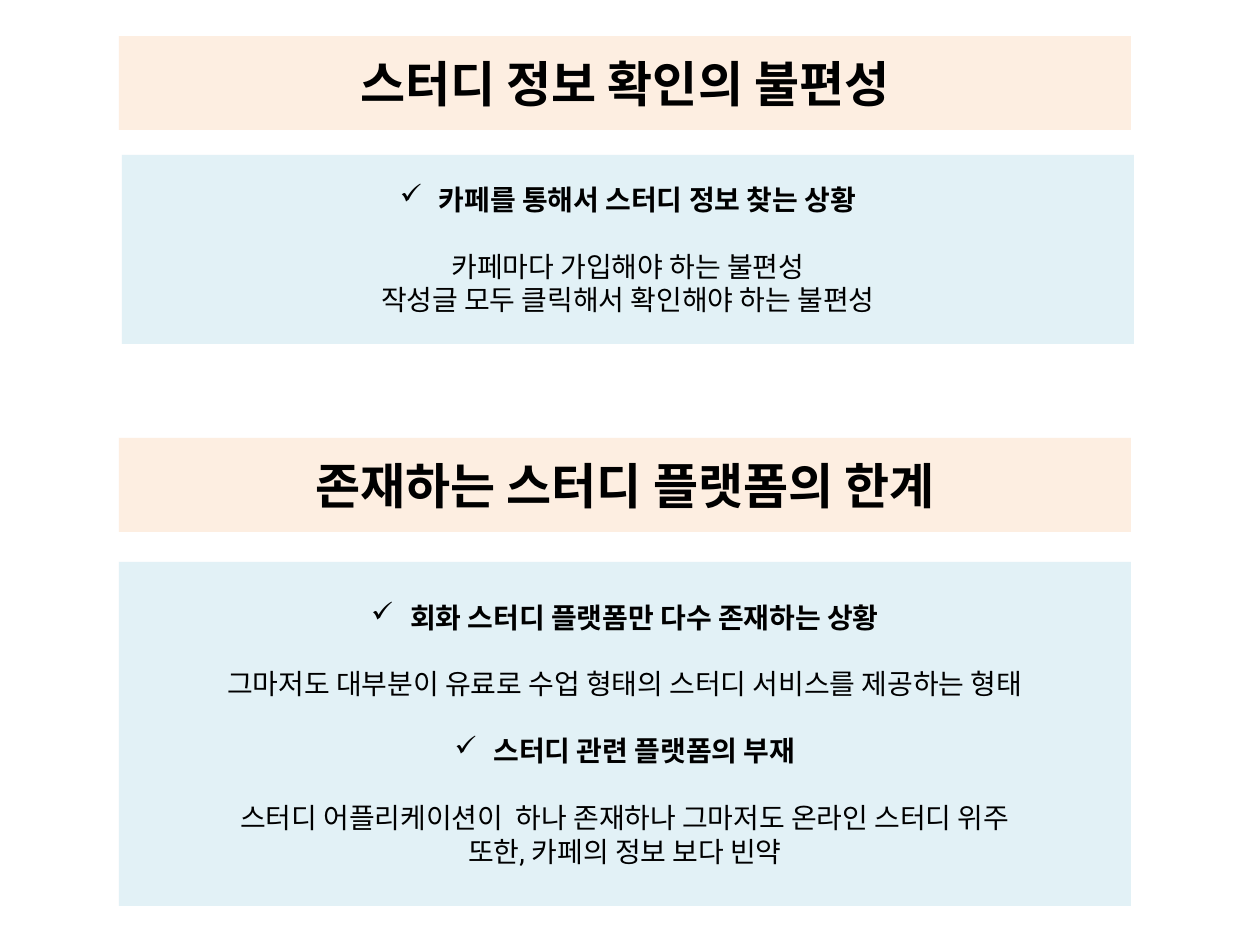
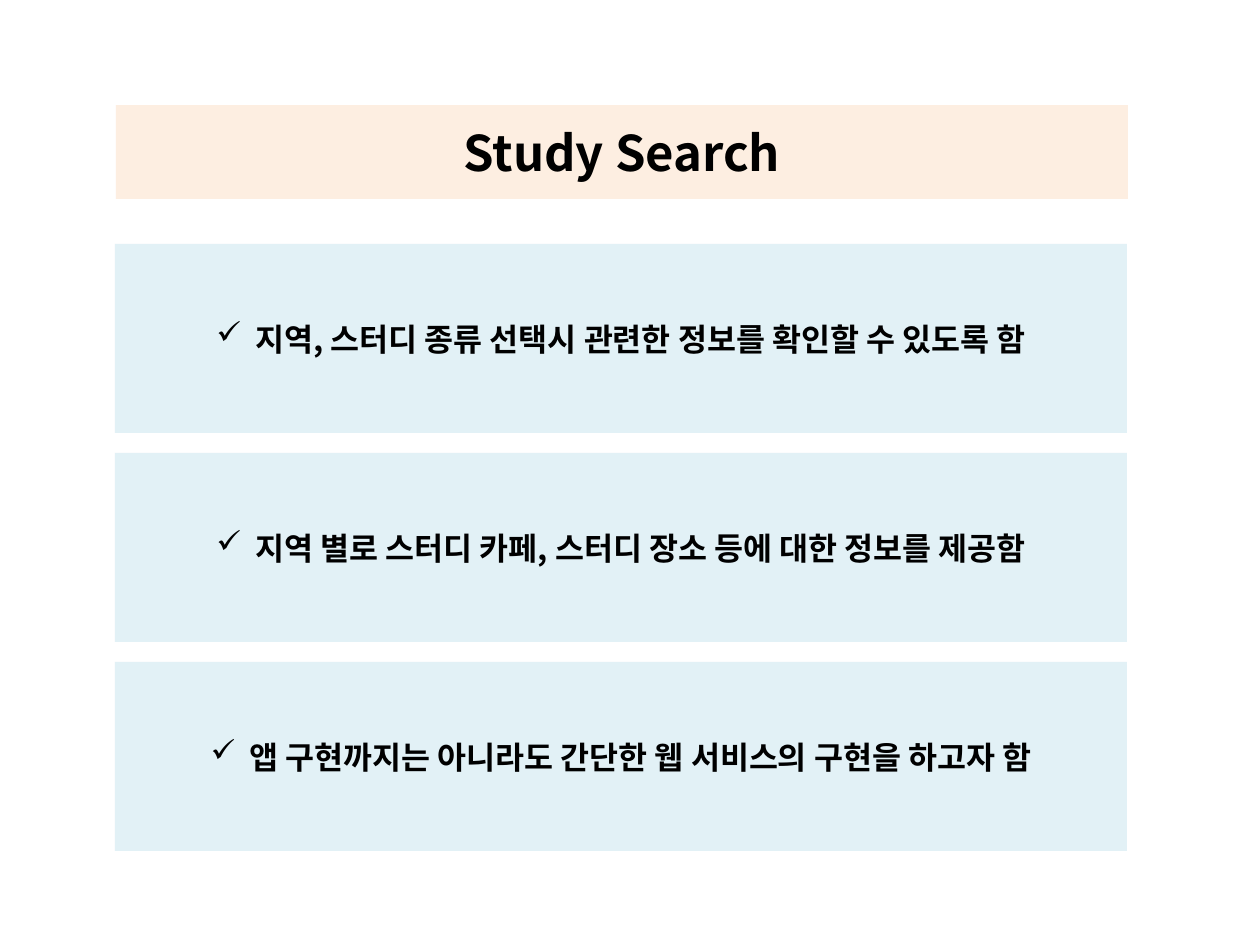
from lxml import etree
from pptx import Presentation
from pptx.dml.color import RGBColor
from pptx.enum.shapes import MSO_SHAPE
from pptx.enum.text import MSO_ANCHOR, PP_ALIGN
from pptx.oxml.ns import qn
from pptx.util import Pt

RECT = MSO_SHAPE.RECTANGLE
MIDDLE = MSO_ANCHOR.MIDDLE
CENTER = PP_ALIGN.CENTER

PEACH = RGBColor(0xFD, 0xEA, 0xDA)
BLUE = RGBColor(0xDB, 0xEE, 0xF4)
BLACK = RGBColor(0, 0, 0)
SANS = "Noto Sans CJK KR"
LATIN = "Roboto"

PX = 914400 // 126
WIDE = 1012
HEAD = 94
CARD = 189
GAP = 20
INDENT = 39
BREAK = Pt(19)

CAFE = [
    ("카페를 통해서 스터디 정보 찾는 상황", True, SANS),
    ("카페마다 가입해야 하는 불편성\v작성글 모두 클릭해서 확인해야 하는 불편성", False, SANS),
]
LIMITS = [
    ("회화 스터디 플랫폼만 다수 존재하는 상황", True, SANS),
    ("그마저도 대부분이 유료로 수업 형태의 스터디 서비스를 제공하는 형태", False, SANS),
    ("스터디 관련 플랫폼의 부재", True, SANS),
    ("스터디 어플리케이션이  하나 존재하나 그마저도 온라인 스터디 위주\v"
     "또한, 카페의 정보 보다 빈약", False, LATIN),
]
GOALS = [
    "지역, 스터디 종류 선택시 관련한 정보를 확인할 수 있도록 함",
    "지역 별로 스터디 카페, 스터디 장소 등에 대한 정보를 제공함",
    "앱 구현까지는 아니라도 간단한 웹 서비스의 구현을 하고자 함",
]


def add_band(slide, left, top, height, color):
    """Add a pale, borderless band and return its text frame."""
    band = slide.shapes.add_shape(RECT, left * PX, top * PX, WIDE * PX, height * PX)
    band.shadow.inherit = False
    band.line.fill.background()
    band.fill.solid()
    band.fill.fore_color.rgb = color
    tint = band.fill._xPr.find(".//" + qn("a:srgbClr"))
    etree.SubElement(tint, qn("a:alpha"), val="80000")
    frame = band.text_frame
    frame.word_wrap = True
    frame.vertical_anchor = MIDDLE
    return frame


def style(para, size, bold, face=SANS):
    para.alignment = CENTER
    for run in para.runs:
        font = run.font
        font.size, font.bold, font.name = Pt(size), bold, face
        font.color.rgb = BLACK
        east = etree.SubElement(font._element, qn("a:ea"))
        east.set("typeface", SANS)


def add_check(para):
    props = para._p.get_or_add_pPr()
    props.set("marL", str(INDENT * PX))
    props.set("indent", str(-INDENT * PX))
    etree.SubElement(props, qn("a:buChar"), char="✓")


def add_title(slide, left, top, text):
    frame = add_band(slide, left, top, HEAD, PEACH)
    frame.text = text
    style(frame.paragraphs[0], 28, True)


def add_card(slide, left, top, height, items, size):
    """Add a blue card; bold items get a check mark."""
    frame = add_band(slide, left, top, height, BLUE)
    for i, (text, bold, face) in enumerate(items):
        para = frame.add_paragraph() if i else frame.paragraphs[0]
        para.text = text
        style(para, size, bold, face)
        if i:
            para.space_before = BREAK
        if bold:
            add_check(para)


def build_issues(slide):
    add_title(slide, 119, 36, "스터디 정보 확인의 불편성")
    add_card(slide, 122, 155, CARD, CAFE, 16)
    add_title(slide, 119, 438, "존재하는 스터디 플랫폼의 한계")
    add_card(slide, 119, 562, 344, LIMITS, 16)


def build_goals(slide):
    add_title(slide, 116, 105, "Study Search")
    for i, goal in enumerate(GOALS):
        add_card(slide, 115, 244 + i * (CARD + GAP), CARD, [(goal, True, SANS)], 18)


def main():
    deck = Presentation()
    deck.slide_width, deck.slide_height = 1260 * PX, 945 * PX
    blank = deck.slide_layouts[6]
    for build in (build_issues, build_goals):
        build(deck.slides.add_slide(blank))
    deck.save("out.pptx")


if __name__ == "__main__":
    main()
